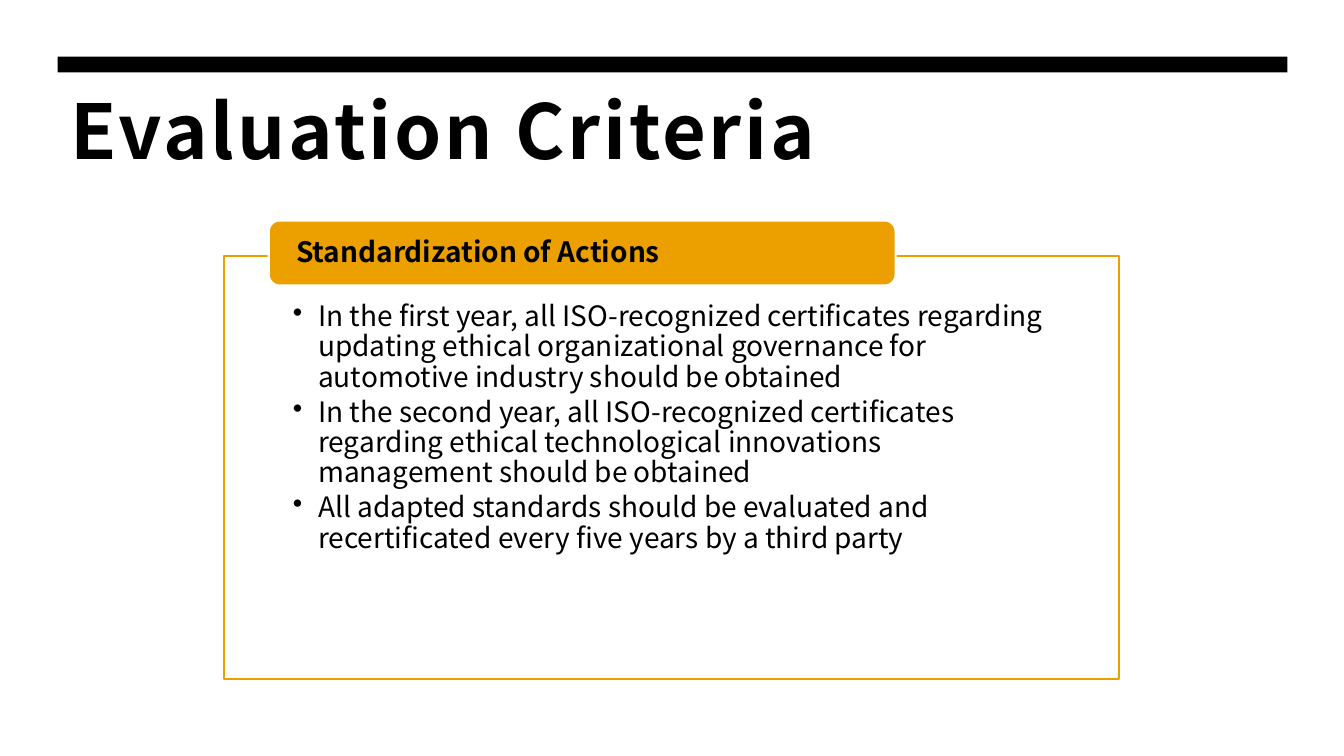
from dataclasses import dataclass

from lxml import etree
from pptx import Presentation, util as u
from pptx.dml.color import RGBColor
from pptx.enum import shapes, text
from pptx.oxml import ns

PX = 9525


@dataclass(frozen=True)
class Theme:
    """Colours, typeface and type sizes of the slide."""

    black: str = "000000"
    white: str = "FFFFFF"
    amber: str = "EBA000"
    font: str = "Noto Sans CJK SC"
    title: int = 54
    body: int = 20


THEME = Theme()

CRITERIA = [
    "In the first year, all ISO-recognized certificates regarding updating ethical "
    "organizational governance for automotive industry should be obtained",
    "In the second year, all ISO-recognized certificates regarding ethical technological "
    "innovations management should be obtained",
    "All adapted standards should be evaluated and recertificated every five years "
    "by a third party",
]


def px(*lengths):
    """Turn pixel lengths into EMU."""
    return [u.Emu(length * PX) for length in lengths]


def add_box(slide, kind, box, fill, line=None):
    """Add a filled preset shape, outlined if a line colour is given."""
    shape = slide.shapes.add_shape(kind, *px(*box))
    shape.shadow.inherit = False
    shape.fill.solid()
    shape.fill.fore_color.rgb = RGBColor.from_string(fill)
    if line:
        shape.line.color.rgb = RGBColor.from_string(line)
        shape.line.width = u.Pt(1.5)
    else:
        shape.line.fill.background()
    return shape


def add_bullet(paragraph, indent):
    """Give a paragraph a round bullet with a hanging indent."""
    properties = paragraph._p.get_or_add_pPr()
    properties.set("marL", str(indent * PX))
    properties.set("indent", str(-indent * PX))
    etree.SubElement(properties, ns.qn("a:buChar")).set("char", "•")


def write_text(shape, lines, *, size, insets, bold=False, tracking=0, bullet_indent=0,
               after=0, anchor=text.MSO_ANCHOR.TOP):
    """Write lines as left-aligned paragraphs in a shape."""
    frame = shape.text_frame
    frame.word_wrap = True
    frame.vertical_anchor = anchor
    (frame.margin_left, frame.margin_top,
     frame.margin_right, frame.margin_bottom) = px(*insets)
    for index, line in enumerate(lines):
        paragraph = frame.add_paragraph() if index else frame.paragraphs[0]
        paragraph.alignment = text.PP_ALIGN.LEFT
        paragraph.line_spacing = 0.9
        paragraph.space_after = u.Pt(after)
        if bullet_indent:
            add_bullet(paragraph, bullet_indent)
        run = paragraph.add_run()
        run.text = line
        run.font.name = THEME.font
        run.font.size = u.Pt(size)
        run.font.bold = bold
        run.font.color.rgb = RGBColor.from_string(THEME.black)
        if tracking:
            run._r.get_or_add_rPr().set("spc", str(tracking * 100))


def add_title(slide, title):
    """Add the black bar and the slide title below it."""
    add_box(slide, shapes.MSO_SHAPE.RECTANGLE, (55, 54, 1171, 15), THEME.black)
    box = slide.shapes.add_textbox(*px(55, 78, 1171, 154))
    write_text(box, [title], size=THEME.title, insets=(12, 12, 12, 10), bold=True,
               tracking=2)


def add_criteria_card(slide, heading, criteria):
    """Add an outlined card of bullets with a heading tab on its top edge."""
    card = add_box(slide, shapes.MSO_SHAPE.RECTANGLE, (213, 244, 853, 403),
                   THEME.white, THEME.amber)
    write_text(card, criteria, size=THEME.body, insets=(66, 44, 66, 15),
               bullet_indent=24, after=3.5)
    tab = add_box(slide, shapes.MSO_SHAPE.ROUNDED_RECTANGLE, (256, 210, 597, 62),
                  THEME.amber, THEME.white)
    write_text(tab, [heading], size=THEME.body, insets=(23, 0, 23, 0), bold=True,
               anchor=text.MSO_ANCHOR.MIDDLE)


def main():
    """Build and save the slide."""
    presentation = Presentation()
    presentation.slide_width, presentation.slide_height = px(1280, 720)
    slide = presentation.slides.add_slide(presentation.slide_layouts[6])
    add_title(slide, "Evaluation Criteria")
    add_criteria_card(slide, "Standardization of Actions", CRITERIA)
    presentation.save("out.pptx")


if __name__ == "__main__":
    main()
